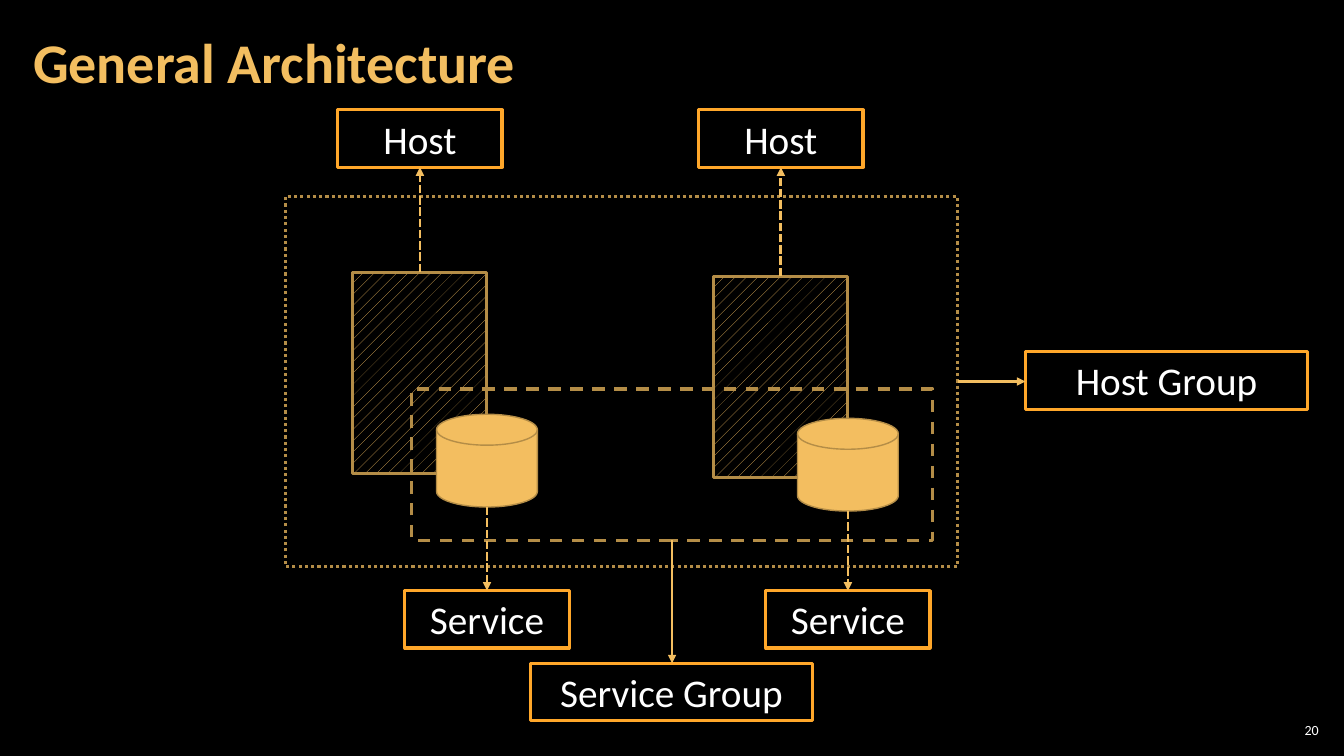
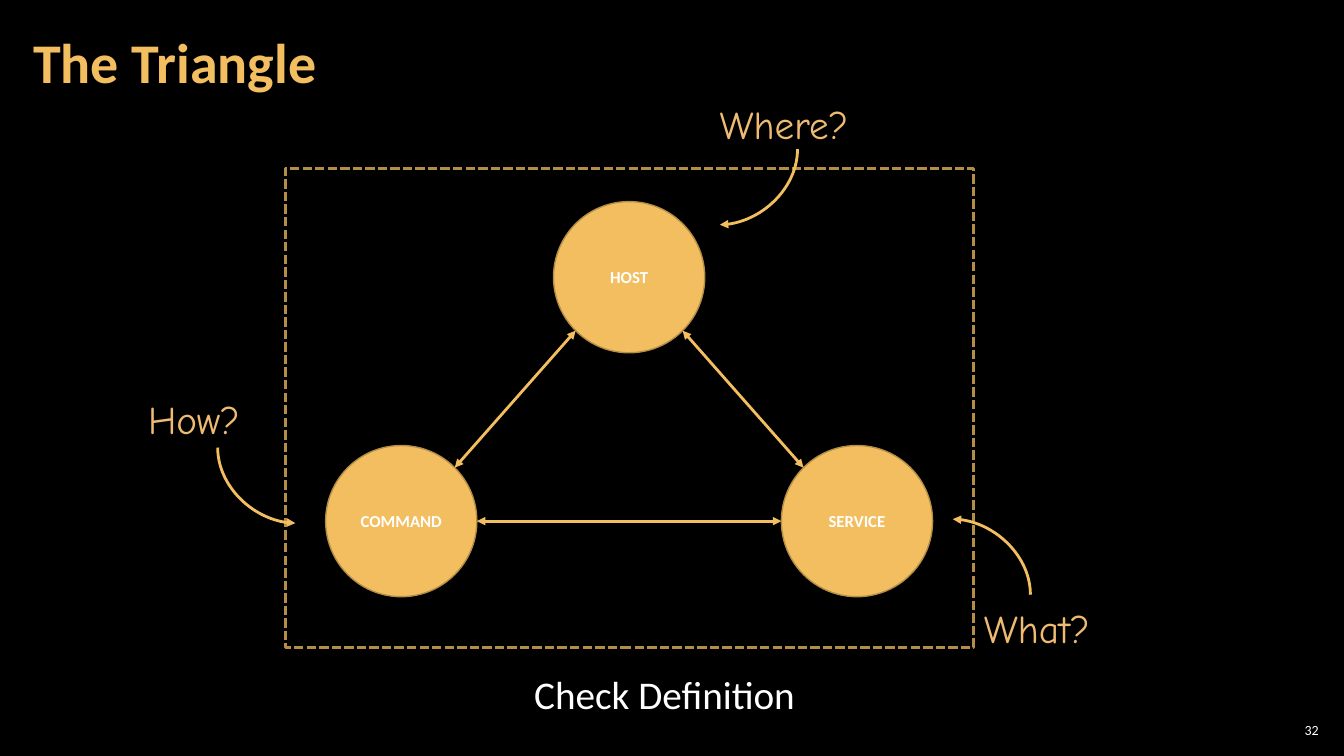
from math import sqrt
from typing import NamedTuple, Optional

from lxml.etree import SubElement
from pptx import Presentation
from pptx.dml.color import RGBColor
from pptx.enum.dml import MSO_LINE_DASH_STYLE as Dash, MSO_PATTERN_TYPE as Pattern
from pptx.enum.shapes import MSO_CONNECTOR_TYPE as Connector, MSO_SHAPE as Preset
from pptx.enum.text import MSO_ANCHOR as Anchor, PP_ALIGN as Align
from pptx.oxml.ns import qn
from pptx.util import Inches, Pt

# Shared palette and text formats
BLACK, WHITE = "000000", "FFFFFF"
GOLD, BRONZE, ORANGE, SAND = "F3BE60", "B48D47", "FFA72A", "EFBB72"

TITLE = {"name": "Calibri", "size": Pt(40), "bold": True}
BODY = {"name": "Calibri", "size": Pt(28)}
QUESTION = {"name": "Comic Neue", "size": Pt(28)}
CIRCLE_TEXT = {"name": "Calibri", "size": Pt(12), "bold": True}
PAGE_NUMBER = {"name": "Calibri", "size": Pt(10)}


class Box(NamedTuple):
    left: float
    top: float
    width: float
    height: float


class Point(NamedTuple):
    x: float
    y: float


class Label(NamedTuple):
    text: str
    box: Box


class Column(NamedTuple):
    left: float
    drop: float


class Callout(NamedTuple):
    text: str
    box: Box
    tail: Point
    tip: Point


def colour(value: str) -> RGBColor:
    return RGBColor.from_string(value)


def lengths(values) -> list:
    return [Inches(value) for value in values]


def write(shape, text: str, font: dict, text_colour: str, align=Align.LEFT,
          anchor=Anchor.TOP, margins: tuple = (0.1, 0.05), spacing=None) -> None:
    frame = shape.text_frame
    side, edge = lengths(margins)
    frame_format = {"word_wrap": True, "vertical_anchor": anchor,
                    "margin_left": side, "margin_right": side,
                    "margin_top": edge, "margin_bottom": edge}
    for name, value in frame_format.items():
        setattr(frame, name, value)
    paragraph = frame.paragraphs[0]
    paragraph.alignment = align
    paragraph.line_spacing = spacing
    run = paragraph.add_run()
    run.text = text
    for name, value in font.items():
        setattr(run.font, name, value)
    run.font.color.rgb = colour(text_colour)


def add_text(slide, text: str, box: Box, font: dict, text_colour: str, **layout) -> None:
    write(slide.shapes.add_textbox(*lengths(box)), text, font, text_colour, **layout)


def add_figure(slide, preset, box: Box, line: str, weight: float,
               fill: Optional[str] = None, dash=None):
    shape = slide.shapes.add_shape(preset, *lengths(box))
    shape.shadow.inherit = False
    if fill:
        shape.fill.solid()
        shape.fill.fore_color.rgb = colour(fill)
    else:
        shape.fill.background()
    shape.line.color.rgb = colour(line)
    shape.line.width = Pt(weight)
    shape.line.dash_style = dash
    return shape


def add_arrow(slide, start: Point, end: Point, kind=Connector.STRAIGHT,
              dash=None, ends: tuple = ("tailEnd",)):
    arrow = slide.shapes.add_connector(kind, *lengths(start + end))
    arrow.line.color.rgb = colour(GOLD)
    arrow.line.width = Pt(2)
    arrow.line.dash_style = dash
    for end_name in ends:
        SubElement(arrow.line._get_or_add_ln(), qn(f"a:{end_name}"), type="triangle")
    SubElement(arrow._element.spPr, qn("a:effectLst"))
    return arrow


def add_curve(slide, tail: Point, tip: Point) -> None:
    # This preset leaves its start horizontally, so it is drawn from the tip
    curve = add_arrow(slide, tip, tail, Connector.CURVE, ends=("headEnd",))
    curve._element.spPr.find(qn("a:prstGeom")).set("prst", "curvedConnector2")


def add_label(slide, label: Label) -> None:
    shape = add_figure(slide, Preset.RECTANGLE, label.box, ORANGE, 2.25)
    write(shape, label.text, BODY, WHITE, align=Align.CENTER)


def new_slide(presentation, title: str, number: int):
    slide = presentation.slides.add_slide(presentation.slide_layouts[6])
    slide.background.fill.solid()
    slide.background.fill.fore_color.rgb = colour(BLACK)
    add_text(slide, str(number), Box(12.65, 7.14, 0.47, 0.21), PAGE_NUMBER, WHITE,
             align=Align.RIGHT, anchor=Anchor.MIDDLE, margins=(0.04, 0.04))
    add_text(slide, title, Box(0.21, 0.04, 10.47, 1.21), TITLE, GOLD,
             anchor=Anchor.MIDDLE, margins=(0.12, 0.04), spacing=0.9)
    return slide


def build_architecture(presentation) -> None:
    slide = new_slide(presentation, "General Architecture", 20)
    columns = [Column(3.5, 0), Column(7.08, 0.04)]
    host_top, service_top, label_width, label_height = 1.09, 5.86, 1.63, 0.57
    server_top, server_width = 2.7, 1.33
    disk_top, disk_height = 4.11, 0.92

    # Servers with their disks
    for left, drop in columns:
        server = add_figure(slide, Preset.RECTANGLE,
                            Box(left, server_top + drop, server_width, 2), BRONZE, 2.25)
        server.fill.patterned()
        server.fill.pattern = Pattern.PERCENT_10
        server.fill.fore_color.rgb = colour(GOLD)
        server.fill.back_color.rgb = colour(BLACK)
        add_figure(slide, Preset.FLOWCHART_MAGNETIC_DISK,
                   Box(left + 0.83, disk_top + drop, 1, disk_height), BRONZE, 1, GOLD)

    # Group outlines
    host_group = Box(2.83, 1.95, 6.67, 3.67)
    service_group = Box(4.08, 3.86, 5.17, 1.5)
    add_figure(slide, Preset.RECTANGLE, host_group, BRONZE, 2.25, dash=Dash.ROUND_DOT)
    add_figure(slide, Preset.RECTANGLE, service_group, BRONZE, 2.25, dash=Dash.DASH)

    # Host and service labels with their arrows
    for left, drop in columns:
        host_x = left + server_width / 2
        service_x = left + server_width
        for text, centre, top in (("Host", host_x, host_top),
                                  ("Service", service_x, service_top)):
            box = Box(centre - label_width / 2, top, label_width, label_height)
            add_label(slide, Label(text, box))
        add_arrow(slide, Point(service_x, disk_top + disk_height + drop),
                  Point(service_x, service_top), dash=Dash.SQUARE_DOT)
        add_arrow(slide, Point(host_x, server_top + drop),
                  Point(host_x, host_top + label_height), dash=Dash.SQUARE_DOT)

    # Group labels with their arrows
    host_label = Label("Host Group", Box(10.17, 3.49, 2.8, label_height))
    service_label = Label("Service Group", Box(5.26, 6.58, 2.8, label_height))
    for label in (host_label, service_label):
        add_label(slide, label)
    group_x = service_group.left + service_group.width / 2
    group_y = host_group.top + host_group.height / 2
    add_arrow(slide, Point(group_x, service_group.top + service_group.height),
              Point(group_x, service_label.box.top))
    add_arrow(slide, Point(host_group.left + host_group.width, group_y),
              Point(host_label.box.left, group_y))


def build_triangle(presentation) -> None:
    slide = new_slide(presentation, "The Triangle", 32)
    radius = 0.75
    host, command, service = Point(6.24, 2.75), Point(3.98, 5.17), Point(8.5, 5.17)

    # Circles at the corners
    for text, centre in (("HOST", host), ("COMMAND", command), ("SERVICE", service)):
        box = Box(centre.x - radius, centre.y - radius, 2 * radius, 2 * radius)
        circle = add_figure(slide, Preset.OVAL, box, BRONZE, 1, GOLD)
        write(circle, text, CIRCLE_TEXT, WHITE, align=Align.CENTER, anchor=Anchor.MIDDLE)

    # Two-way arrows along the sides
    diagonal = radius / sqrt(2)
    for start, end, dx, dy in ((host, command, -diagonal, diagonal),
                               (host, service, diagonal, diagonal),
                               (command, service, radius, 0)):
        add_arrow(slide, Point(start.x + dx, start.y + dy),
                  Point(end.x - dx, end.y - dy), ends=("headEnd", "tailEnd"))

    # Frame and caption
    add_figure(slide, Preset.RECTANGLE, Box(2.83, 1.67, 6.83, 4.75), BRONZE, 2.25,
               dash=Dash.SQUARE_DOT)
    add_text(slide, "Check Definition", Box(5.2, 6.6, 2.82, 0.57), BODY, WHITE)

    # Questions with curved arrows
    callouts = [
        Callout("How?", Box(1.37, 3.87, 1.35, 0.57), Point(2.16, 4.44), Point(2.93, 5.19)),
        Callout("Where?", Box(7.04, 0.95, 1.76, 0.57), Point(7.91, 1.48), Point(7.14, 2.23)),
        Callout("What?", Box(9.66, 5.95, 1.57, 0.57), Point(10.22, 5.9), Point(9.45, 5.15)),
    ]
    for callout in callouts:
        add_text(slide, callout.text, callout.box, QUESTION, SAND)
        add_curve(slide, callout.tail, callout.tip)


def main() -> None:
    presentation = Presentation()
    presentation.slide_width = Inches(13.33)
    presentation.slide_height = Inches(7.5)
    build_architecture(presentation)
    build_triangle(presentation)
    presentation.save("out.pptx")


if __name__ == "__main__":
    main()
